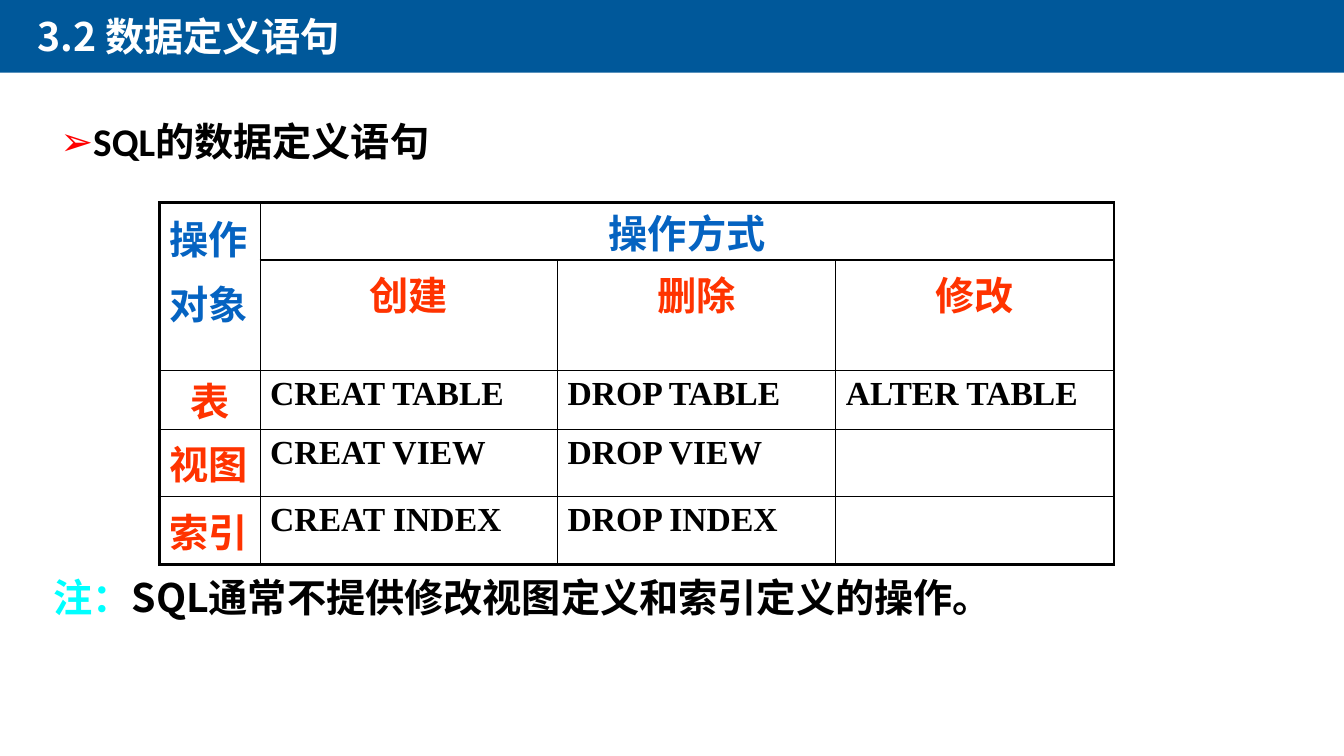
from lxml.etree import SubElement
from pptx import Presentation
from pptx.dml.color import RGBColor
from pptx.enum.shapes import MSO_SHAPE
from pptx.enum.text import MSO_ANCHOR, MSO_AUTO_SIZE, PP_ALIGN
from pptx.oxml.ns import qn
from pptx.util import Inches, Pt

HUE = {"bar": "00589A", "white": "FFFFFF", "black": "000000", "blue": "0563C1",
       "red": "FF3300", "mark": "FF0000", "cyan": "00FFFF"}
CJK = "Noto Sans CJK SC"


def write(para, text, hue, size=28, face=CJK):
    """Add one bold run to a paragraph."""
    run = para.add_run()
    run.text = text
    look = {"size": Pt(size), "bold": True, "name": face}
    for key, value in look.items():
        setattr(run.font, key, value)
    run.font.color.rgb = RGBColor.from_string(HUE[hue])
    SubElement(run.font._element, qn("a:ea"), typeface=CJK)


def place(shape, left, top, width, height):
    """Move a shape, with lengths in inches."""
    box = {"left": left, "top": top, "width": width, "height": height}
    for key, value in box.items():
        setattr(shape, key, Inches(value))


deck = Presentation()
deck.slide_width, deck.slide_height = Inches(13.33), Inches(7.5)
slide = deck.slides.add_slide(deck.slide_layouts[1])
title, body = slide.placeholders

# Title bar, behind the title
bar = slide.shapes.add_shape(MSO_SHAPE.RECTANGLE, 0, Inches(-0.02),
                             deck.slide_width, Inches(0.74))
bar.shadow.inherit = False
bar.fill.solid()
bar.fill.fore_color.rgb = RGBColor.from_string(HUE["bar"])
bar.line.fill.background()
slide.shapes._spTree.insert(2, bar._element)

# Title
place(title, 0.27, 0.07, 5.53, 0.57)
head = title.text_frame.paragraphs[0]
head.alignment = PP_ALIGN.LEFT
write(head, "3.2 数据定义语句", "white")

# Bulleted line
place(body, 0.5, 1.17, 8.5, 0.58)
item = body.text_frame.paragraphs[0]
props = item._p.get_or_add_pPr()
props.set("marL", str(Inches(0.25)))
props.set("indent", str(Inches(-0.25)))
tint = SubElement(props, qn("a:buClr"))
SubElement(tint, qn("a:srgbClr"), val=HUE["mark"])
SubElement(props, qn("a:buFont"), typeface="Arial")
SubElement(props, qn("a:buChar"), char="➢")
item.line_spacing = 0.9
item.space_before = Pt(0)
write(item, "SQL的数据定义语句", "black", face="Calibri")

for shape in (title, body):
    shape.text_frame.auto_size = MSO_AUTO_SIZE.NONE
    shape.text_frame.vertical_anchor = MSO_ANCHOR.TOP

# Table of statements
cols = [1, 2.95, 2.76, 2.76]
rows = [0.57, 1.1, 0.58, 0.67, 0.67]
data = [["操作\n对象", "操作方式", "", ""],
        ["", "创建", "删除", "修改"],
        ["表", "CREAT TABLE", "DROP TABLE", "ALTER TABLE"],
        ["视图", "CREAT VIEW", "DROP VIEW", ""],
        ["索引", "CREAT INDEX", "DROP INDEX", ""]]
# Fixed line height in points, top and bottom margin, for cells short of room
tight = {(0, 0): (24, 0, 0.1), (0, 1): (32, 0.12, 0), (2, 0): (32, 0.12, 0)}
grid = slide.shapes.add_table(len(rows), len(cols), Inches(1.58), Inches(2.01),
                              Inches(sum(cols)), Inches(sum(rows))).table
grid.first_row = grid.horz_banding = False
for col, width in zip(grid.columns, cols):
    col.width = Inches(width)
for row, height in zip(grid.rows, rows):
    row.height = Inches(height)
grid.cell(0, 0).merge(grid.cell(1, 0))
grid.cell(0, 1).merge(grid.cell(0, 3))
grid.cell(0, 0).vertical_anchor = MSO_ANCHOR.MIDDLE

for r, line in enumerate(data):
    for c, text in enumerate(line):
        cell = grid.cell(r, c)
        pitch, above, below = tight.get((r, c), (None, 0.05, 0.05))
        cell.margin_top, cell.margin_bottom = Inches(above), Inches(below)
        # Thick outer frame, thin inner lines
        edges = {"a:lnL": c == 0, "a:lnR": c == len(cols) - 1,
                 "a:lnT": r == 0, "a:lnB": r == len(rows) - 1}
        for tag, outer in edges.items():
            edge = SubElement(cell._tc.get_or_add_tcPr(), qn(tag),
                              w=str(Pt(2.25 if outer else 1)))
            fill = SubElement(edge, qn("a:solidFill"))
            SubElement(fill, qn("a:srgbClr"), val=HUE["black"])
        cell.fill.background()

        # Headings in colour, statements in black
        code = r > 1 and c > 0
        hue = "black" if code else "blue" if r == 0 else "red"
        size, face = (24, "Times New Roman") if code else (28, "Arial")
        mid = (r < 2 and c > 0) or (r == 2 and c == 0)
        for n, part in enumerate(text.split("\n") if text else []):
            frame = cell.text_frame
            para = frame.add_paragraph() if n else frame.paragraphs[0]
            para.alignment = PP_ALIGN.CENTER if mid else PP_ALIGN.LEFT
            if pitch:
                para.line_spacing = Pt(pitch)
            if n:
                para.space_before = Pt(22.4)
            write(para, part, hue, size, face)

# Note under the table
note = slide.shapes.add_textbox(0, 0, 0, 0)
place(note, 0.43, 5.64, 9.78, 0.57)
note.text_frame.word_wrap = True
words = note.text_frame.paragraphs[0]
write(words, "注：", "cyan")
write(words, "SQL通常不提供修改视图定义和索引定义的操作。", "black")

deck.save("out.pptx")
